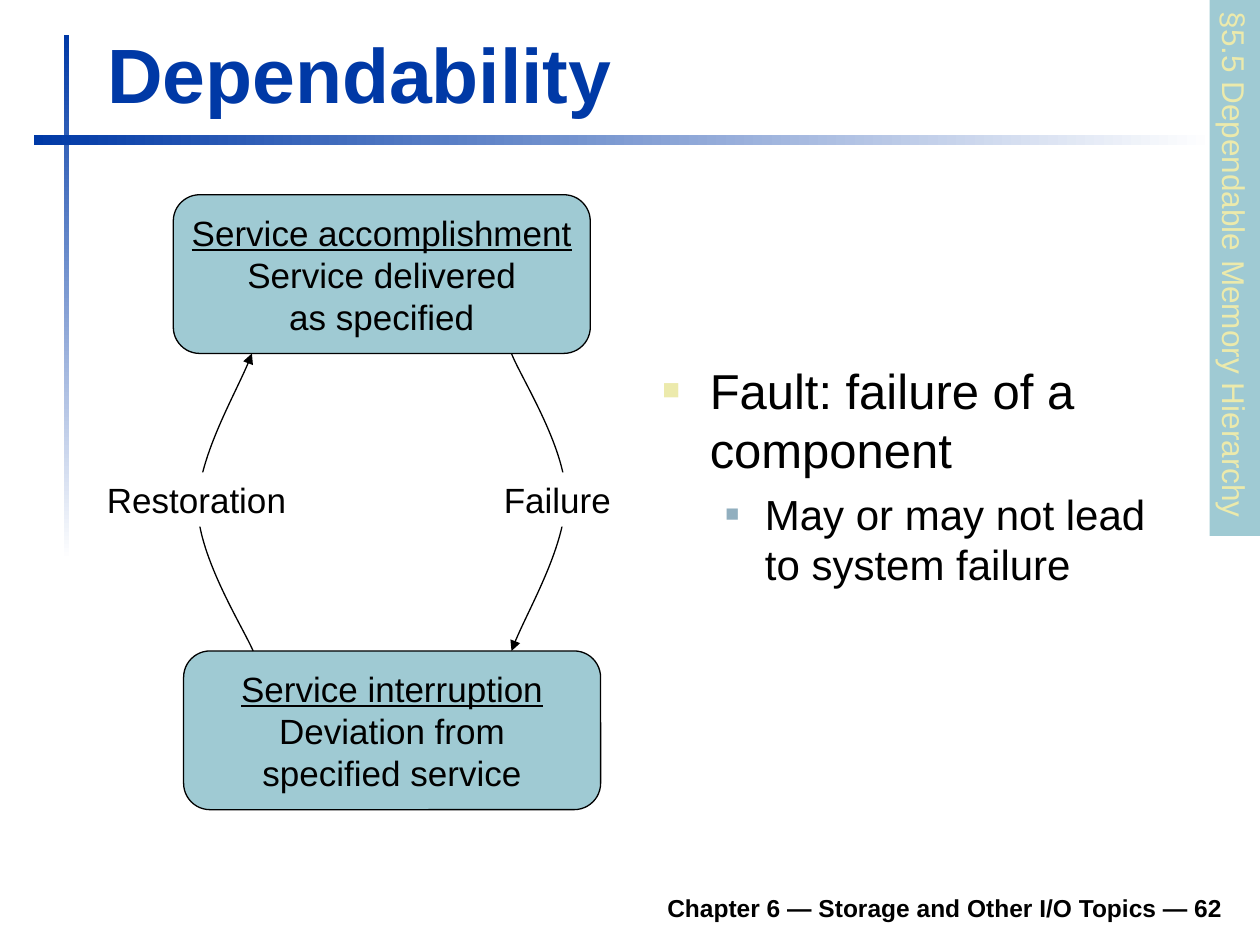
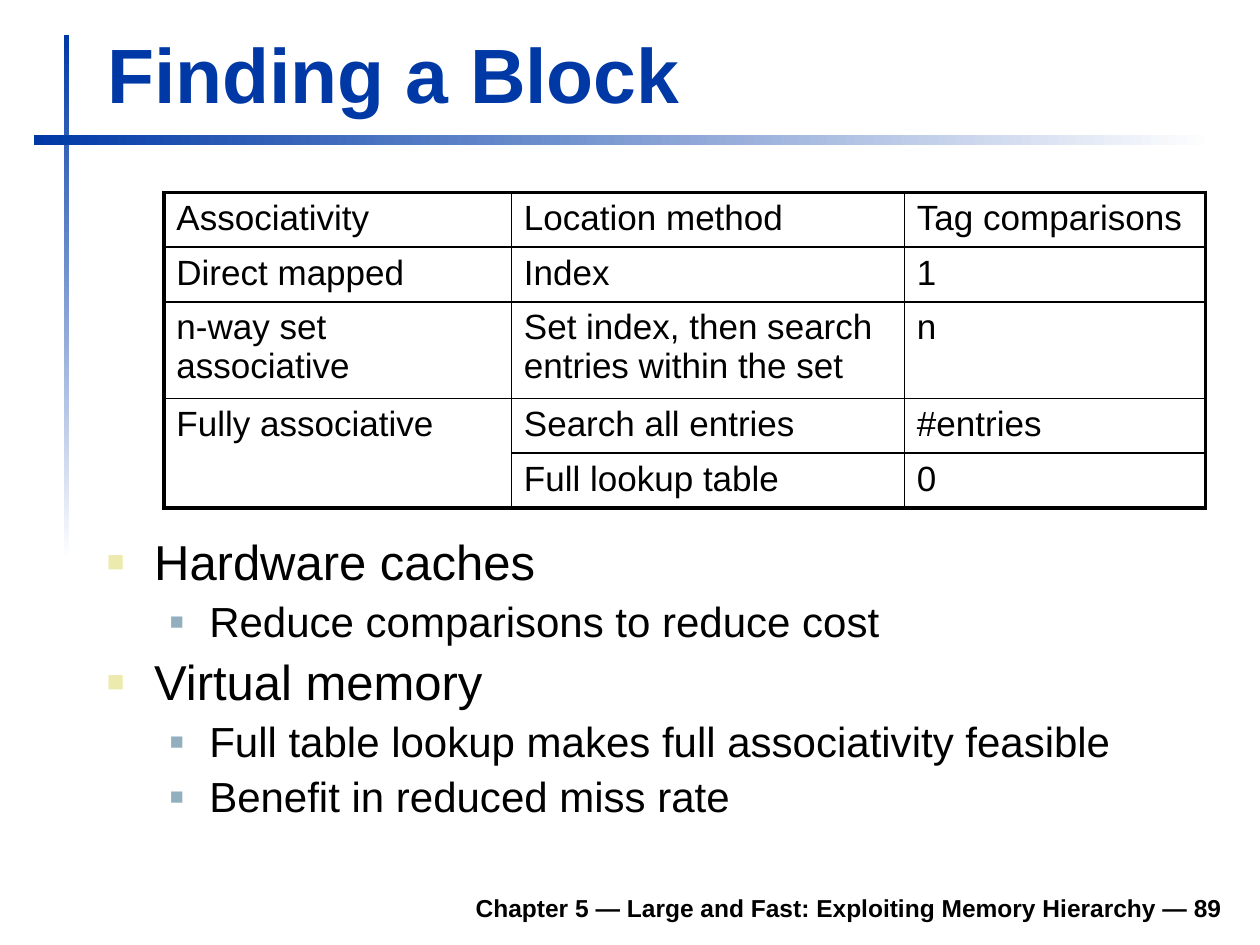
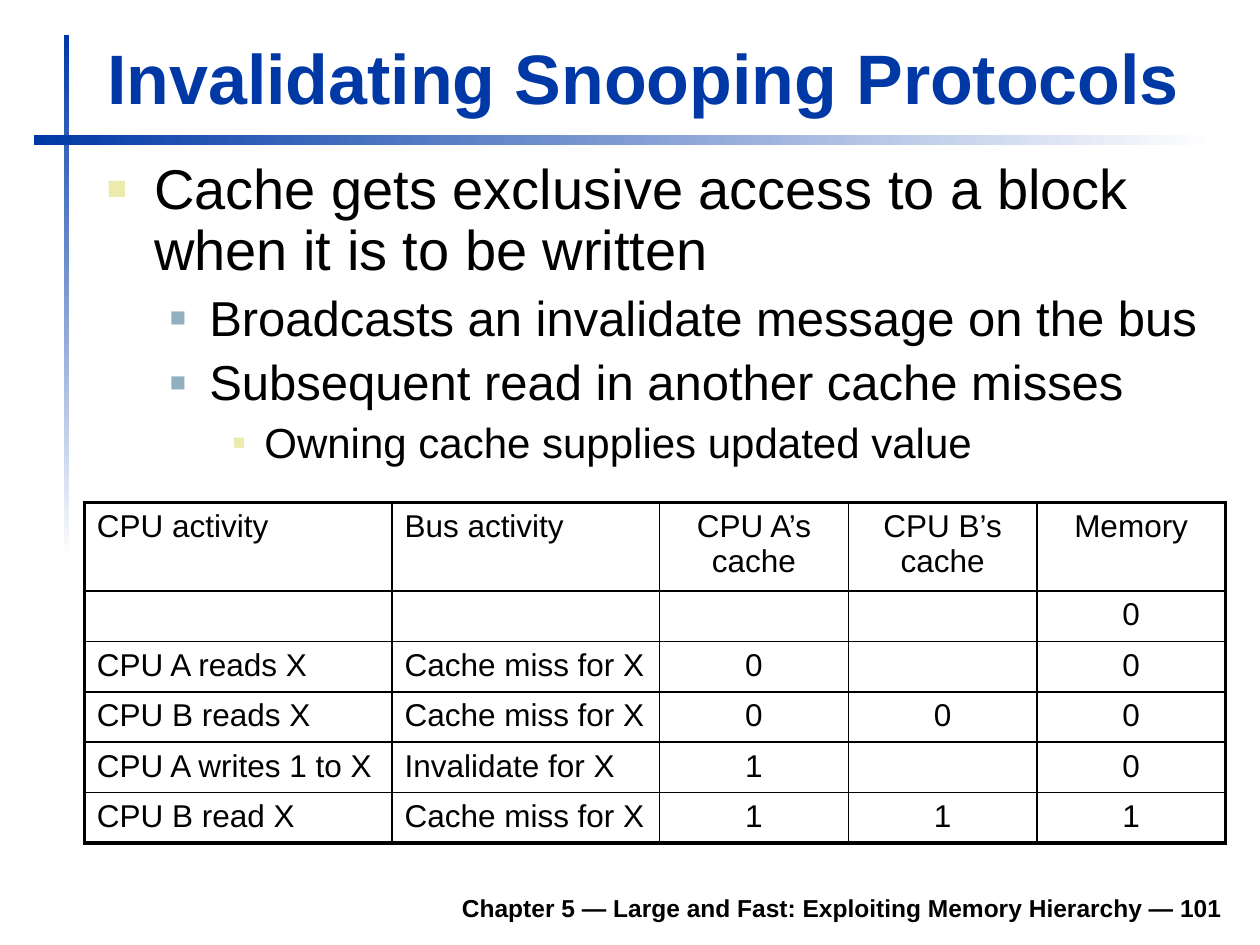
from lxml import etree
from pptx import Presentation
from pptx import util as u
from pptx.dml.color import RGBColor
from pptx.enum import shapes, text
from pptx.oxml import ns

BLUE = RGBColor(0x00, 0x39, 0xA6)
TEAL = RGBColor(0x9F, 0xCA, 0xD3)
SAND = RGBColor(0xEC, 0xEA, 0xAC)
STEEL = RGBColor(0x91, 0xAF, 0xBF)
BLACK = RGBColor(0x00, 0x00, 0x00)
WHITE = RGBColor(0xFF, 0xFF, 0xFF)
FONT = "Arial"
LEVELS = [(27, 27, SAND, 60), (58.5, 22.5, STEEL, 55), (90, 18, SAND, 50)]
BOOK = "Chapter 5 — Large and Fast: Exploiting Memory Hierarchy"
PEN = 1
FRAME = 2.25


def box(at):
    """Turn left, top, width and height in points into lengths."""
    return [u.Pt(n) for n in at]


def child(node, tag, **attrs):
    """Append a drawing element to a node."""
    return etree.SubElement(node, ns.qn("a:" + tag), attrs)


def style(para, size, color=BLACK, bold=False, align=text.PP_ALIGN.LEFT):
    """Format a paragraph and its runs."""
    para.alignment = align
    for run in para.runs:
        font = run.font
        font.name, font.size, font.bold = FONT, u.Pt(size), bold
        font.color.rgb = color


def shape(slide, kind, at, fill, line=None):
    """Add a filled preset shape without shadow."""
    item = slide.shapes.add_shape(kind, *box(at))
    item.shadow.inherit = False
    item.fill.solid()
    item.fill.fore_color.rgb = fill
    if line is None:
        item.line.fill.background()
    else:
        item.line.color.rgb = line
        item.line.width = u.Pt(0.75)
    return item


def band(slide, at, angle):
    """Add a bar that fades from blue to white."""
    fill = shape(slide, shapes.MSO_SHAPE.RECTANGLE, at, BLUE).fill
    fill.gradient()
    fill.gradient_angle = angle
    for stop, color, place in zip(fill.gradient_stops, (BLUE, WHITE), (0, 1)):
        stop.color.rgb = color
        stop.position = place


def page(deck, title, footer, size=44):
    """Add a slide with its bands, title and footer."""
    slide = deck.slides.add_slide(deck.slide_layouts[5])
    band(slide, (36.7, 20.2, 2.9, 300), 270)
    band(slide, (19.4, 77, 674.6, 5.8), 0)
    head = slide.shapes.title
    tall = 60 if size == 44 else 55.4
    head.left, head.top, head.width, head.height = box((54, 71.5 - tall, 650, tall))
    frame = head.text_frame
    frame.text = title
    frame.word_wrap = True
    frame.auto_size = text.MSO_AUTO_SIZE.NONE
    frame.vertical_anchor = text.MSO_ANCHOR.BOTTOM
    style(frame.paragraphs[0], size, BLUE, True)
    foot = slide.shapes.add_textbox(*box((133.2, 502.6, 572.4, 28))).text_frame
    foot.word_wrap = True
    foot.vertical_anchor = text.MSO_ANCHOR.BOTTOM
    foot.text = footer
    style(foot.paragraphs[0], 14, bold=True, align=text.PP_ALIGN.RIGHT)
    return slide


def bullets(slide, at, items, sizes, pitch=0.9):
    """Add a list of (level, words) with square bullets."""
    frame = slide.shapes.add_textbox(*box(at)).text_frame
    frame.word_wrap = True
    frame.text = "\n".join(words for _, words in items)
    for para, (level, _) in zip(frame.paragraphs, items):
        size = sizes[level]
        style(para, size)
        para.level = level
        para.line_spacing = pitch
        para.space_before = u.Pt(round(size * 0.24, 1))
        left, hang, color, scale = LEVELS[level]
        props = para._p.get_or_add_pPr()
        props.set("marL", str(u.Pt(left)))
        props.set("indent", str(-u.Pt(hang)))
        child(child(props, "buClr"), "srgbClr", val=str(color))
        child(props, "buSzPct", val=str(scale * 1000))
        child(props, "buFont", typeface=FONT)
        child(props, "buChar", char="■")


def state(slide, left, top, name, words):
    """Add a rounded box with an underlined name."""
    item = shape(slide, shapes.MSO_SHAPE.ROUNDED_RECTANGLE,
                 (left, top, 238.3, 90.7), TEAL, BLACK)
    frame = item.text_frame
    frame.word_wrap = False
    frame.text = name
    frame.add_paragraph().text = words
    for para in frame.paragraphs:
        style(para, 20, align=text.PP_ALIGN.CENTER)
    frame.paragraphs[0].runs[0].font.underline = True


def label(slide, at, words, size=20, color=BLACK, fill=WHITE):
    """Add a plain filled label."""
    item = shape(slide, shapes.MSO_SHAPE.RECTANGLE, at, fill)
    frame = item.text_frame
    frame.word_wrap = False
    frame.text = words
    style(frame.paragraphs[0], size, color)
    return item


def curve(slide, points):
    """Add an arrow of cubic curves through a start and point triples."""
    spots = [tuple(box(point)) for point in points]
    pen = slide.shapes.build_freeform(*spots[0], scale=1.0)
    pen.add_line_segments(spots[1:], close=False)
    item = pen.convert_to_shape()
    item.shadow.inherit = False
    item.fill.background()
    item.line.color.rgb = BLACK
    item.line.width = u.Pt(0.75)
    child(item.line._get_or_add_ln(), "tailEnd", type="triangle")
    track = item._element.xpath(".//a:path")[0]
    steps = track.findall(ns.qn("a:lnTo"))
    for start in range(0, len(steps), 3):
        bend = child(track, "cubicBezTo")
        for step in steps[start:start + 3]:
            bend.append(step[0])
            track.remove(step)


def border(cell, widths):
    """Draw the left, right, top and bottom lines of a cell."""
    props = cell._tc.get_or_add_tcPr()
    for tag, width in zip(("lnL", "lnR", "lnT", "lnB"), widths):
        line = child(props, tag, w=str(u.Pt(width)))
        child(child(line, "solidFill"), "srgbClr", val=str(BLACK))


def grid(slide, at, cols, tall, rows, size, rule=PEN, middle=(), merge=None):
    """Add a framed table with a rule below its header row."""
    last, edge = len(rows) - 1, len(cols) - 1
    spot = box((*at, sum(cols), sum(tall)))
    table = slide.shapes.add_table(last + 1, edge + 1, *spot).table
    table.first_row = table.horz_banding = False
    for col, width in zip(table.columns, cols):
        col.width = u.Pt(width)
    for row, height in zip(table.rows, tall):
        row.height = u.Pt(height)
    if merge:
        first, final = merge
        table.cell(*first).merge(table.cell(*final))
    for r, row in enumerate(rows):
        for c, words in enumerate(row):
            cell = table.cell(r, c)
            if cell.is_spanned:
                continue
            end = r + cell.span_height - 1 if cell.is_merge_origin else r
            border(cell, (PEN if c else FRAME,
                          FRAME if c == edge else PEN,
                          {0: FRAME, 1: rule}.get(r, PEN),
                          FRAME if end == last else PEN if r else rule))
            cell.fill.background()
            cell.text = words
            align = text.PP_ALIGN.CENTER if c in middle else text.PP_ALIGN.LEFT
            style(cell.text_frame.paragraphs[0], size, align=align)


def depend(deck):
    """Build the dependability slide."""
    slide = page(deck, "Dependability",
                 "Chapter 6 — Storage and Other I/O Topics — 62")
    bullets(slide, (371.5, 202.3, 311.8, 289.4),
            [(0, "Fault: failure of a component"),
             (1, "May or may not lead to system failure")], (28, 24), 1.0)
    state(slide, 99, 111.3, "Service accomplishment",
          "Service delivered\vas specified")
    state(slide, 104.9, 372, "Service interruption",
          "Deviation from\vspecified service")
    curve(slide, [(292.3, 202), (297.4, 215.3), (323.3, 255.6), (323.3, 283.7),
                  (323.3, 311.8), (298.8, 353.5), (292.3, 372)])
    label(slide, (280.8, 270, 75.6, 31), "Failure")
    curve(slide, [(144.7, 372), (139, 358.6), (113.8, 319), (113, 290.2),
                  (113, 262), (137.5, 220.3), (144, 202)])
    label(slide, (54, 270, 116.6, 31), "Restoration")
    side = label(slide, (552.2, 138.5, 306.7, 28.8),
                 "§5.5 Dependable Memory Hierarchy", 18, SAND, TEAL)
    side.rotation = 90


def find(deck):
    """Build the slide on finding a block."""
    slide = page(deck, "Finding a Block", BOOK + " — 89")
    bullets(slide, (54, 303.8, 651.6, 187.2),
            [(0, "Hardware caches"),
             (1, "Reduce comparisons to reduce cost"),
             (0, "Virtual memory"),
             (1, "Full table lookup makes full associativity feasible"),
             (1, "Benefit in reduced miss rate")], (28, 24))
    rows = [("Associativity", "Location method", "Tag comparisons"),
            ("Direct mapped", "Index", "1"),
            ("n-way set associative",
             "Set index, then search entries within the set", "n"),
            ("Fully associative", "Search all entries", "#entries"),
            ("", "Full lookup table", "0")]
    grid(slide, (93.6, 110), (198.6, 224.6, 172.2),
         (31.2, 31.2, 55.2, 31.2, 31.2), rows, 20, 1.5,
         merge=((3, 0), (4, 0)))


def snoop(deck):
    """Build the slide on snooping protocols."""
    slide = page(deck, "Invalidating Snooping Protocols", BOOK + " — 101", 40)
    bullets(slide, (54, 88.6, 651.6, 187.2),
            [(0, "Cache gets exclusive access to a block "
                 "when it is to be written"),
             (1, "Broadcasts an invalidate message on the bus"),
             (1, "Subsequent read in another cache misses"),
             (2, "Owning cache supplies updated value")], (32, 28, 24))
    rows = [("CPU activity", "Bus activity", "CPU A’s cache",
             "CPU B’s cache", "Memory"),
            ("", "", "", "", "0"),
            ("CPU A reads X", "Cache miss for X", "0", "", "0"),
            ("CPU B reads X", "Cache miss for X", "0", "0", "0"),
            ("CPU A writes 1 to X", "Invalidate for X", "1", "", "0"),
            ("CPU B read X", "Cache miss for X", "1", "1", "1")]
    grid(slide, (48.2, 287.2), (175.8, 153, 107.8, 107.8, 107.8),
         [50.3] + [28.8] * 5, rows, 18, middle=(2, 3, 4))


def main():
    """Build and save the deck."""
    deck = Presentation()
    deck.slide_width, deck.slide_height = u.Pt(720), u.Pt(540)
    depend(deck)
    find(deck)
    snoop(deck)
    deck.save("out.pptx")


main()
